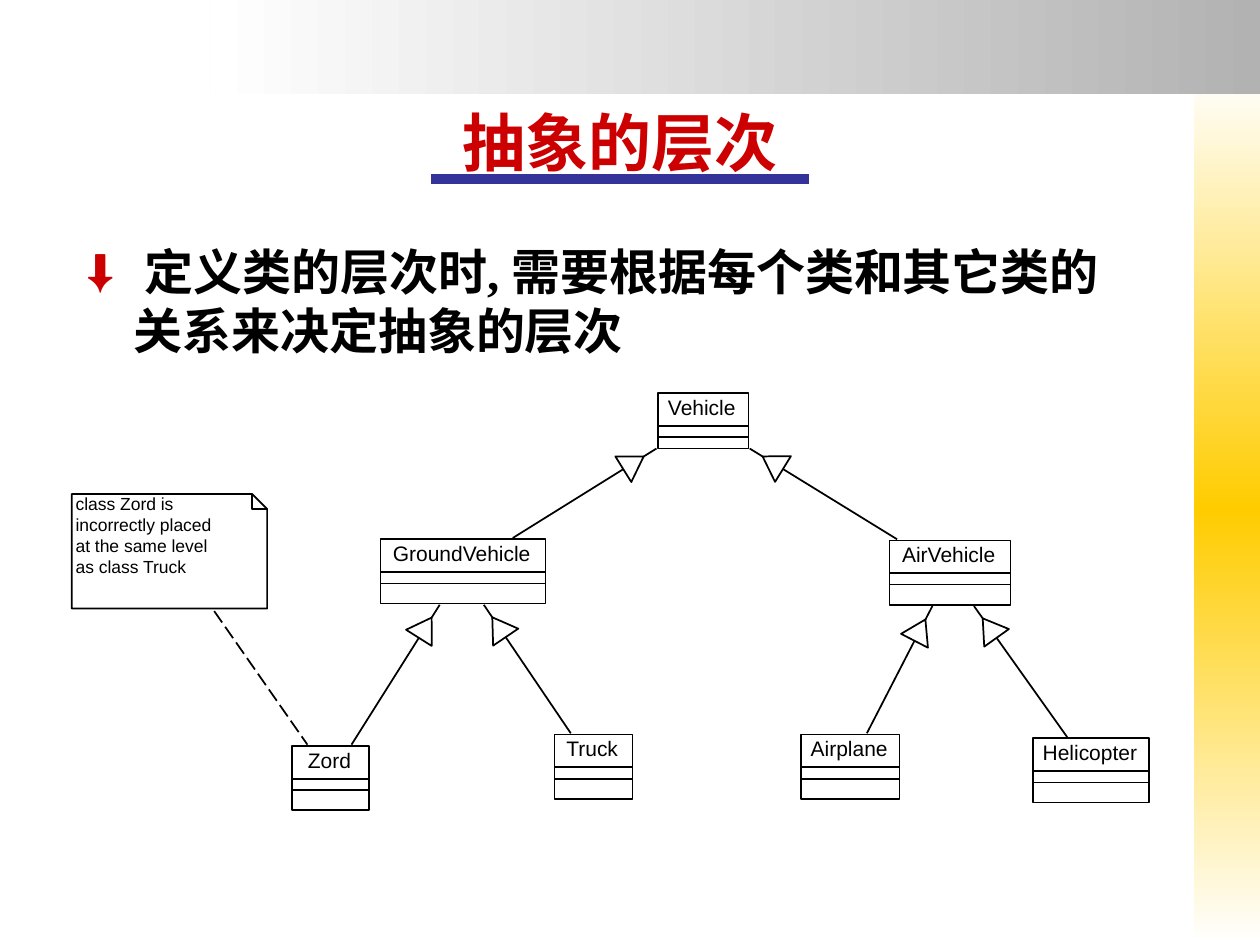
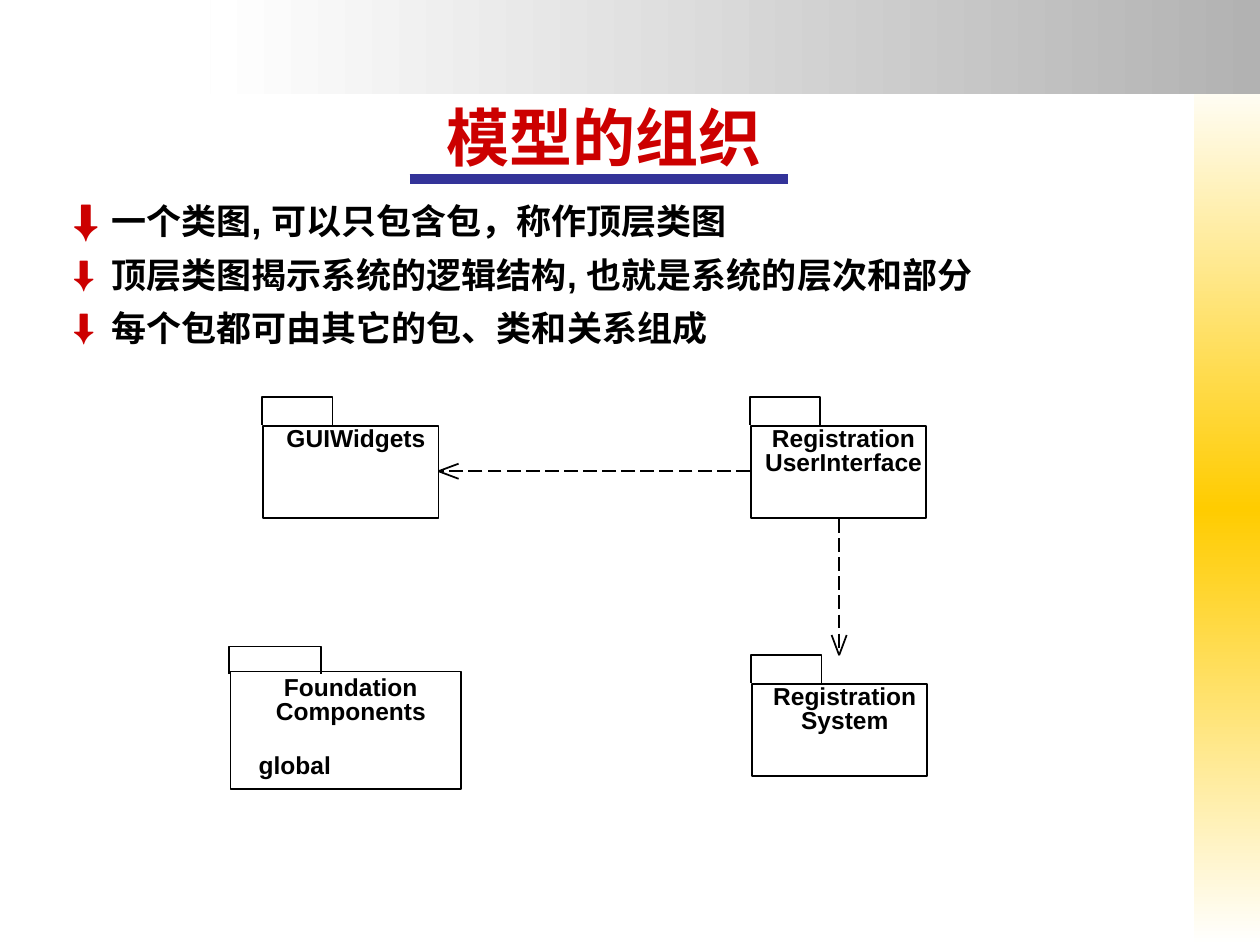
from dataclasses import dataclass
from math import hypot

from lxml import etree
from pptx import Presentation
from pptx.dml.color import RGBColor
from pptx.enum import dml, shapes, text
from pptx.oxml.ns import qn
from pptx.util import Inches, Pt

BLACK = RGBColor(0x00, 0x00, 0x00)
WHITE = RGBColor(0xFF, 0xFF, 0xFF)
RED = RGBColor(0xCC, 0x00, 0x00)
BLUE = RGBColor(0x33, 0x33, 0x99)
GOLD = RGBColor(0xFF, 0xCC, 0x00)
GRAY = RGBColor(0xB2, 0xB2, 0xB2)
SERIF, SANS = "Times New Roman", "Arial"
CENTER = text.PP_ALIGN.CENTER

Point = tuple[float, float]
Frame = tuple[float, float, float, float]  # left, top, width, height


@dataclass(frozen=True)
class ClassBox:
    name: str
    left: float
    top: float
    width: float
    height: float = 0.51


@dataclass(frozen=True)
class Package:
    name: str
    left: float
    top: float
    width: float = 1.39
    height: float = 0.73
    tab_width: float = 0.56
    tab_rise: float = 0.23
    label_drop: float = -0.03


@dataclass(frozen=True)
class BulletStyle:
    font: str
    size: int
    margin: float
    indent: float
    scales: tuple[int, ...]
    line_spacing: Pt | None = None
    space_after: float = 0


CLASSES = (
    ClassBox("Vehicle", 5.22, 3.12, 0.72, 0.44),
    ClassBox("GroundVehicle", 3.02, 4.28, 1.31),
    ClassBox("AirVehicle", 7.06, 4.29, 0.96),
    ClassBox("Zord", 2.32, 5.92, 0.61),
    ClassBox("Truck", 4.4, 5.83, 0.62),
    ClassBox("Airplane", 6.36, 5.83, 0.78),
    ClassBox("Helicopter", 8.2, 5.86, 0.92),
)
# Each line runs from the child class to its parent.
INHERITANCE = (
    ((4.07, 4.27), (5.21, 3.56)),
    ((7.12, 4.28), (5.95, 3.56)),
    ((2.79, 5.91), (3.49, 4.8)),
    ((4.53, 5.82), (3.84, 4.8)),
    ((6.88, 5.82), (7.4, 4.81)),
    ((8.47, 5.85), (7.73, 4.81)),
)
PACKAGES = (
    Package("GUIWidgets", 2.09, 3.38),
    Package("Registration\nUserInterface", 5.96, 3.38),
    Package("Foundation\nComponents", 1.83, 5.33, 1.83, 0.93, 0.73, 0.2, 0),
    Package("Registration\nSystem", 5.97, 5.43),
)
DEPENDENCIES = (((5.95, 3.74), (3.48, 3.74)), ((6.66, 4.12), (6.66, 5.2)))

LEVEL_BULLETS = BulletStyle(SERIF, 28, 0.48, -0.37, (90,))
PACKAGE_BULLETS = BulletStyle(SANS, 20, 0.24, -0.24, (120, 100, 100), Pt(18), 12.5)


def style_font(paragraph, name: str, size: float, color: RGBColor, bold: bool) -> None:
    for span in paragraph.runs:
        span.font.name = name
        span.font.size = Pt(size)
        span.font.color.rgb = color
        span.font.bold = bold


def place(shape, frame: Frame) -> None:
    shape.left, shape.top, shape.width, shape.height = map(Inches, frame)


def clear_margins(frame) -> None:
    frame.margin_left = frame.margin_right = 0
    frame.margin_top = frame.margin_bottom = 0


def add_line(page, start: Point, end: Point, color: RGBColor = BLACK,
             width: float = 1, dashed: bool = False) -> None:
    line = page.shapes.add_connector(
        shapes.MSO_CONNECTOR.STRAIGHT, *map(Inches, (*start, *end)))
    line.line.color.rgb = color
    line.line.width = Pt(width)
    if dashed:
        line.line.dash_style = dml.MSO_LINE.LONG_DASH
    etree.SubElement(line._element.spPr, qn("a:effectLst"))


def outline(shape, fill: RGBColor | None = None) -> None:
    """Give a shape a thin black line and a plain fill or none."""
    shape.shadow.inherit = False
    shape.line.color.rgb = BLACK
    shape.line.width = Pt(1)
    if fill is None:
        shape.fill.background()
    else:
        shape.fill.solid()
        shape.fill.fore_color.rgb = fill


def add_box(page, frame: Frame) -> None:
    outline(page.shapes.add_shape(
        shapes.MSO_SHAPE.RECTANGLE, *map(Inches, frame)))


def add_path(page, points: list[Point], closed: bool = False,
             fill: RGBColor | None = None) -> None:
    corners = [(Inches(x), Inches(y)) for x, y in points]
    builder = page.shapes.build_freeform(*corners[0])
    builder.add_line_segments(corners[1:], close=closed)
    outline(builder.convert_to_shape(), fill)


def add_label(page, words: str, frame: Frame, size: float, bold: bool = False,
              align=CENTER, spacing: Pt | None = None) -> None:
    box = page.shapes.add_textbox(*map(Inches, frame))
    clear_margins(box.text_frame)
    box.text_frame.word_wrap = False
    box.text_frame.text = words
    for paragraph in box.text_frame.paragraphs:
        paragraph.alignment = align
        if spacing:
            paragraph.line_spacing = spacing
        style_font(paragraph, SANS, size, BLACK, bold)


def add_band(page, frame: Frame, angle: float, colors: list[RGBColor]) -> None:
    """Draw a borderless rectangle with evenly spaced gradient stops."""
    band = page.shapes.add_shape(
        shapes.MSO_SHAPE.RECTANGLE, *map(Inches, frame))
    band.shadow.inherit = False
    band.line.fill.background()
    band.fill.gradient()
    band.fill.gradient_angle = angle
    stops = band._element.spPr.find(qn("a:gradFill")).find(qn("a:gsLst"))
    for stop in list(stops):
        stops.remove(stop)
    for index, color in enumerate(colors):
        position = str(100000 * index // (len(colors) - 1))
        stop = etree.SubElement(stops, qn("a:gs"), pos=position)
        etree.SubElement(stop, qn("a:srgbClr"), val=str(color))


def add_page(deck, title: str, frame: Frame, rule_left: float,
             spacing: Pt | None = None):
    """Add a slide with the shared bands, title and title rule."""
    page = deck.slides.add_slide(deck.slide_layouts[1])
    add_band(page, (9.48, 0.58, 0.52, 6.92), 90, [WHITE, GOLD, WHITE])
    add_band(page, (1.67, 0, 8.33, 0.75), 180, [GRAY, WHITE])
    heading = page.shapes.title
    place(heading, frame)
    clear_margins(heading.text_frame)
    heading.text_frame.auto_size = text.MSO_AUTO_SIZE.NONE
    heading.text_frame.vertical_anchor = text.MSO_ANCHOR.BOTTOM
    heading.text_frame.text = title
    paragraph = heading.text_frame.paragraphs[0]
    paragraph.alignment = CENTER
    if spacing:
        paragraph.line_spacing = spacing
    style_font(paragraph, SERIF, 36, RED, True)
    add_line(page, (rule_left, 1.42), (rule_left + 3, 1.42), BLUE, 5.5)
    return page


def fill_body(page, lines: list[str], frame: Frame, style: BulletStyle) -> None:
    body = page.placeholders[1]
    place(body, frame)
    clear_margins(body.text_frame)
    body.text_frame.auto_size = text.MSO_AUTO_SIZE.NONE
    body.text_frame.text = "\n".join(lines)
    for paragraph, scale in zip(body.text_frame.paragraphs, style.scales):
        properties = paragraph._p.get_or_add_pPr()
        properties.set("marL", str(Inches(style.margin)))
        properties.set("indent", str(Inches(style.indent)))
        color = etree.SubElement(properties, qn("a:buClr"))
        etree.SubElement(color, qn("a:srgbClr"), val=str(RED))
        etree.SubElement(properties, qn("a:buSzPct"), val=str(scale * 1000))
        etree.SubElement(properties, qn("a:buChar"), char="⬇")
        paragraph.space_before = Pt(0)
        paragraph.space_after = Pt(style.space_after)
        if style.line_spacing:
            paragraph.line_spacing = style.line_spacing
        style_font(paragraph, style.font, style.size, BLACK, True)


def head_points(start: Point, end: Point, gap: float, length: float,
                half: float) -> list[Point]:
    """Return one barb, the tip and the other barb of an arrowhead."""
    run, rise = end[0] - start[0], end[1] - start[1]
    reach = hypot(run, rise)
    dx, dy = run / reach, rise / reach
    tip_x, tip_y = end[0] - gap * dx, end[1] - gap * dy
    base_x, base_y = tip_x - length * dx, tip_y - length * dy
    return [(base_x - half * dy, base_y + half * dx), (tip_x, tip_y),
            (base_x + half * dy, base_y - half * dx)]


def add_inheritance(page, child: Point, parent: Point) -> None:
    add_line(page, child, parent)
    add_path(page, head_points(child, parent, 0.12, 0.19, 0.12), True, WHITE)


def add_dependency(page, start: Point, end: Point) -> None:
    add_line(page, start, end, dashed=True)
    left_barb, tip, right_barb = head_points(start, end, 0, 0.16, 0.06)
    add_line(page, tip, left_barb)
    add_line(page, tip, right_barb)


def add_class(page, box: ClassBox) -> None:
    add_box(page, (box.left, box.top, box.width, box.height))
    add_label(page, box.name, (box.left - 0.01, box.top + 0.01, box.width, 0.2), 12)
    for drop in (0.26, 0.35):
        y = box.top + drop
        add_line(page, (box.left, y), (box.left + box.width, y))


def add_package(page, package: Package) -> None:
    add_box(page, (package.left, package.top, package.width, package.height))
    left = package.left - 0.01
    right = left + package.tab_width
    top = package.top - package.tab_rise
    add_path(page, [(left, top + 0.22), (left, top), (right, top),
                    (right, top + 0.22)])
    label_top = package.top + package.label_drop + 0.05
    add_label(page, package.name, (package.left + 0.04, label_top, package.width, 0.4),
              14, True, spacing=Pt(13.7))


def add_note(page, words: str, frame: Frame, fold: float = 0.12) -> None:
    left, top, width, height = frame
    right, bottom = left + width, top + height
    crease = [(right - fold, top), (right, top + fold)]
    add_path(page, [(left, top), *crease, (right, bottom), (left, bottom)], True)
    add_path(page, [crease[0], (right - fold, top + fold), crease[1]])
    add_label(page, words, (left + 0.03, top - 0.01, width - 0.2, 0.66), 10,
              align=text.PP_ALIGN.LEFT)


def build_levels(deck) -> None:
    page = add_page(deck, "抽象的层次", (0.42, 0.17, 9, 1.25), 3.42)
    fill_body(page, [" 定义类的层次时, 需要根据每个类和其它类的关系来决定抽象的层次"],
              (0.58, 1.92, 8.5, 0.93), LEVEL_BULLETS)
    for box in CLASSES:
        add_class(page, box)
    for child, parent in INHERITANCE:
        add_inheritance(page, child, parent)
    add_line(page, (1.7, 4.85), (2.44, 5.91), dashed=True)
    add_note(page, "class Zord is\nincorrectly placed\nat the same level\nas class Truck",
             (0.57, 3.92, 1.55, 0.91))


def build_packages(deck) -> None:
    page = add_page(deck, "模型的组织", (0.25, 0.67, 9.08, 0.71), 3.25, Pt(31))
    fill_body(page, [" 一个类图, 可以只包含包，称作顶层类图",
                     " 顶层类图揭示系统的逻辑结构, 也就是系统的层次和部分",
                     " 每个包都可由其它的包、类和关系组成"],
              (0.58, 1.67, 8.57, 1.1), PACKAGE_BULLETS)
    for package in PACKAGES:
        add_package(page, package)
    add_label(page, "global", (2.05, 5.95, 0.58, 0.23), 14, True)
    for start, end in DEPENDENCIES:
        add_dependency(page, start, end)


def main() -> None:
    deck = Presentation()
    deck.slide_width, deck.slide_height = Inches(10), Inches(7.5)
    build_levels(deck)
    build_packages(deck)
    deck.save("out.pptx")


if __name__ == "__main__":
    main()
